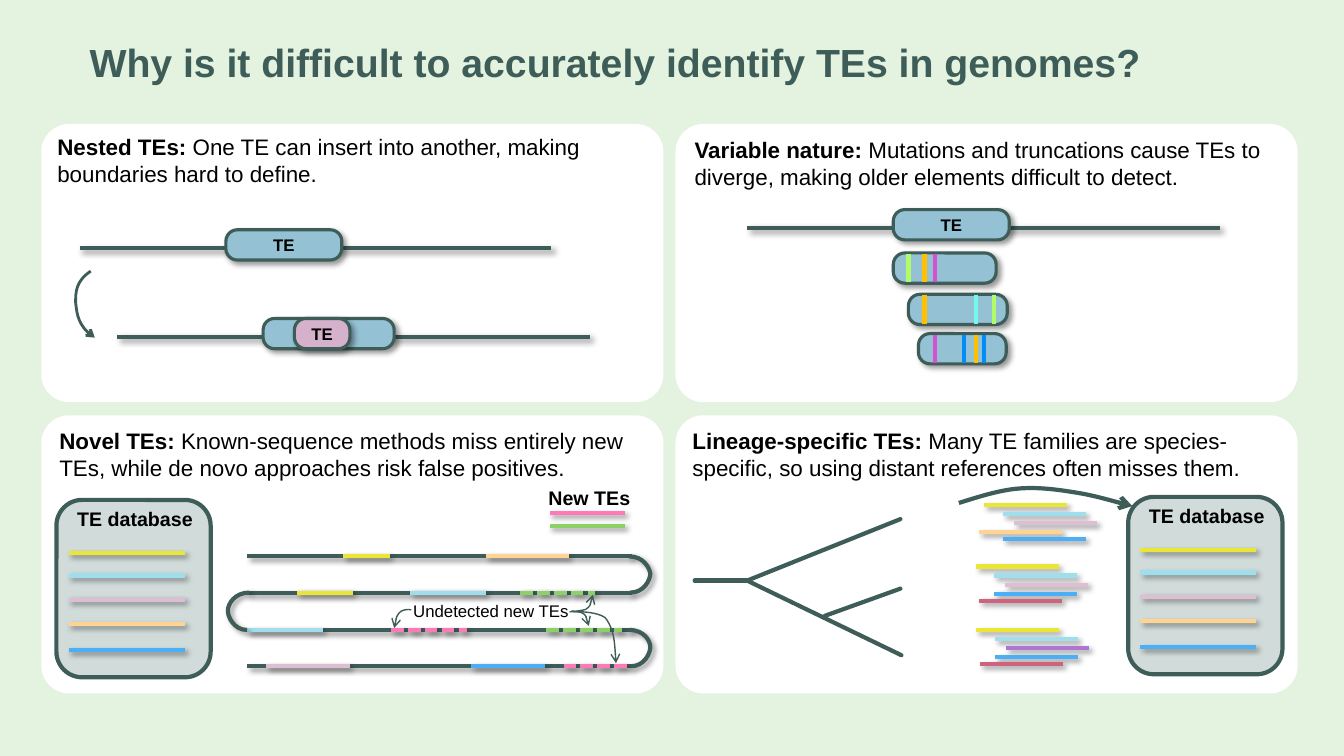
from lxml import etree
from pptx import Presentation
from pptx.dml.color import RGBColor
from pptx.enum.dml import MSO_LINE
from pptx.enum.shapes import MSO_CONNECTOR, MSO_SHAPE
from pptx.enum.text import MSO_ANCHOR, PP_ALIGN
from pptx.oxml.ns import qn
from pptx.util import Inches, Pt

STRAIGHT, ROUND = MSO_CONNECTOR.STRAIGHT, MSO_SHAPE.ROUNDED_RECTANGLE
LEFT, CENTER, MIDDLE, TOP = PP_ALIGN.LEFT, PP_ALIGN.CENTER, MSO_ANCHOR.MIDDLE, MSO_ANCHOR.TOP
DASHED = MSO_LINE.SQUARE_DOT
C = {"bg": "E4F2E0", "dark": "3E5D58", "white": "FFFFFF", "black": "000000",
     "te": "94C1D4", "insert": "D6B1CC", "db": "D1DBD9", "amber": "FFC000",
     "magenta": "D650D2", "lime": "B2FB69", "aqua": "75F9EC", "azure": "008DF6",
     "yellow": "E9E634", "cyan": "9FDFED", "mauve": "DDBED3", "peach": "FFD392",
     "blue": "4BAFF6", "pink": "FF78B8", "green": "8CD167", "red": "CD637C",
     "purple": "AC76D2"}
C = {name: RGBColor.from_string(value) for name, value in C.items()}

prs = Presentation()
prs.slide_width, prs.slide_height = Inches(13.33), Inches(7.5)
U = prs.slide_width // 1333
s = prs.slides.add_slide(prs.slide_layouts[6])
s.background.fill.solid()
s.background.fill.fore_color.rgb = C["bg"]


def style(sp, color, width, shadow=False, dash=None, arrow=False, cap="flat"):
    sp.line.color.rgb = C[color]
    sp.line.width = Pt(width)
    if dash:
        sp.line.dash_style = dash
    ln = sp._element.spPr.find(qn("a:ln"))
    ln.set("cap", cap)
    if arrow:
        etree.SubElement(ln, qn("a:tailEnd"), type="arrow")
    effects = etree.SubElement(sp._element.spPr, qn("a:effectLst"))
    if shadow:
        outer = etree.SubElement(effects, qn("a:outerShdw"), blurRad="50800",
                                 dist="38100", dir="2700000", algn="tl", rotWithShape="0")
        black = etree.SubElement(outer, qn("a:srgbClr"), val="000000")
        etree.SubElement(black, qn("a:alpha"), val="40000")


def write(sp, size, runs, align=LEFT, anchor=TOP, color="black"):
    tf = sp.text_frame
    tf.word_wrap = True
    tf.vertical_anchor = anchor
    p = tf.paragraphs[0]
    p.alignment = align
    for text, bold in runs:
        r = p.add_run()
        r.text = text
        for key, value in {"name": "Arial", "size": Pt(size), "bold": bold}.items():
            setattr(r.font, key, value)
        r.font.color.rgb = C[color]


sp = s.shapes.add_textbox(79 * U, 0, 1131 * U, 123 * U)
write(sp, 28, [("Why is it difficult to accurately identify TEs in genomes?", True)],
      anchor=MIDDLE, color="dark")

for i in range(4):
    row, col = divmod(i, 2)
    sp = s.shapes.add_shape(ROUND, (41 + 629 * col) * U, (123 + 289 * row) * U, 617 * U, 276 * U)
    sp.adjustments[0] = 0.1
    sp.fill.solid()
    sp.fill.fore_color.rgb = C["white"]
    sp.line.fill.background()
    sp.shadow.inherit = False

headings = [
    (47, 127, 642, "Nested TEs:", " One TE can insert into another, making boundaries hard to define."),
    (679, 130, 642, "Variable nature:",
     " Mutations and truncations cause TEs to diverge, making older elements difficult to detect."),
    (49, 419, 598, "Novel TEs:",
     " Known-sequence methods miss entirely new TEs, while de novo approaches risk false positives."),
    (677, 419, 607, "Lineage-specific TEs:",
     " Many TE families are species-specific, so using distant references often misses them."),
]
for x, y, w, term, detail in headings:
    sp = s.shapes.add_textbox(x * U, y * U, w * U, 64 * U)
    write(sp, 16, [(term, True), (detail, False)])

genome_rows = [552, 588, 625, 661]
strands = [(79, 246, 468), (116, 334, 469), (741, 226, 469)]
strands += [(245, y, 382) for y in genome_rows]
for x, y, w in strands:
    sp = s.shapes.add_connector(STRAIGHT, x * U, y * U, (x + w) * U, y * U)
    style(sp, "dark", 3, shadow=True)

lines = []
elements = [
    (224, 228, 115, "te", "TE", []),
    (261, 316, 130, "te", "TE", []),
    (292, 316, 55, "insert", "TE", []),
    (886, 208, 115, "te", "TE", []),
    (886, 251, 102, "te", "", [(901, "lime"), (917, "amber"), (927, "magenta")]),
    (901, 292, 98, "te", "", [(917, "amber"), (968, "aqua"), (986, "lime")]),
    (911, 331, 87, "te", "", [(927, "magenta"), (956, "azure"), (968, "amber"), (976, "azure")]),
]
for x, y, w, fill, label, mutations in elements:
    sp = s.shapes.add_shape(ROUND, x * U, y * U, w * U, 30 * U)
    sp.adjustments[0] = 0.38
    sp.fill.solid()
    sp.fill.fore_color.rgb = C[fill]
    style(sp, "dark", 2.25, shadow=True)
    if label:
        for side in ("left", "top", "right", "bottom"):
            setattr(sp.text_frame, f"margin_{side}", 0)
        write(sp, 12, [(label, True)], CENTER, MIDDLE)
    lines += [(mx, y + 1, mx, y + 29, color, {}) for mx, color in mutations]

SHADOW = {"shadow": True}
labels = [(504, 477, 161, 14, "New TEs", True), (361, 591, 252, 12, "Undetected new TEs", False)]
families = [(53, "yellow"), (75, "cyan"), (99, "mauve"), (123, "peach"), (149, "blue")]
for x, y in [(56, 496), (1119, 493)]:
    sp = s.shapes.add_shape(ROUND, x * U, y * U, 153 * U, 176 * U)
    sp.fill.solid()
    sp.fill.fore_color.rgb = C["db"]
    style(sp, "dark", 3)
    labels.append((x - 14, y + 2, 184, 14, "TE database", True))
    lines += [(x + 12, y + dy, x + 127, y + dy, color, SHADOW) for dy, color in families]

NEW = {"shadow": True, "dash": DASHED}
fragments = [
    (0, 340, 387, "yellow", SHADOW), (0, 482, 564, "peach", SHADOW),
    (1, 295, 350, "yellow", SHADOW), (1, 407, 482, "cyan", SHADOW), (1, 516, 590, "green", NEW),
    (2, 245, 320, "cyan", SHADOW), (2, 388, 463, "pink", NEW), (2, 542, 617, "green", NEW),
    (3, 264, 347, "mauve", SHADOW), (3, 467, 541, "blue", SHADOW), (3, 559, 622, "pink", NEW),
]
lines += [(x1, genome_rows[row], x2, genome_rows[row], color, look)
          for row, x1, x2, color, look in fragments]
lines += [(545, y, 620, y, color, SHADOW) for y, color in [(509, "pink"), (522, "green")]]

branches = [(689, 576, 741, 576), (741, 576, 893, 515), (741, 576, 894, 650), (818, 611, 893, 584)]
lines += [(*branch, "dark", {"cap": "rnd"}) for branch in branches]

clades = [
    (976, 501, [(0, "yellow"), (19, "cyan"), (30, "mauve"), (-5, "peach"), (19, "blue")]),
    (968, 562, [(0, "yellow"), (18, "cyan"), (29, "mauve"), (18, "blue"), (3, "red")]),
    (968, 625, [(0, "yellow"), (19, "cyan"), (30, "purple"), (19, "blue"), (4, "red")]),
]
for x, y, members in clades:
    for (dx, color), dy in zip(members, [0, 9, 18, 27, 34]):
        lines.append((x + dx, y + dy, x + dx + 82, y + dy, color, SHADOW))

for x1, y1, x2, y2, color, look in lines:
    sp = s.shapes.add_connector(STRAIGHT, x1 * U, y1 * U, x2 * U, y2 * U)
    style(sp, color, 3, **look)

ARROW = {"arrow": True}
curves = [
    ([(90, 269), (75, 279), (75, 290), (75, 300), (76, 307), (76, 324), (94, 335)], 2, ARROW),
    ([(624, 552), (638, 552), (644, 563), (645, 569), (645, 575), (639, 588), (625, 588)], 3, SHADOW),
    ([(624, 625), (639, 625), (645, 636), (645, 642), (645, 648), (639, 661), (626, 661)], 3, SHADOW),
    ([(247, 588), (233, 588), (226, 599), (226, 606), (226, 612), (232, 625), (245, 625)], 3, SHADOW),
    ([(569, 607), (576, 605), (581, 606), (583, 603), (586, 600), (587, 595), (588, 590)], 1, ARROW),
    ([(567, 606), (572, 607), (577, 607), (579, 609), (582, 612), (583, 616), (584, 621)], 1, ARROW),
    ([(408, 605), (405, 604), (398, 605), (396, 608), (393, 612), (392, 617), (391, 623)], 1, ARROW),
    ([(565, 607), (576, 606), (599, 608), (602, 615), (609, 626), (610, 641), (611, 658)], 1, ARROW),
    ([(951, 499), (970, 493), (989, 487), (1007, 485), (1026, 483), (1044, 485), (1063, 488),
      (1083, 491), (1103, 497), (1123, 502)], 3, ARROW),
]
for points, width, look in curves:
    x, y = points[0]
    builder = s.shapes.build_freeform(x, y, scale=U)
    builder.add_line_segments(points[1:], close=False)
    sp = builder.convert_to_shape()
    segments = list(sp._element.iter(qn("a:lnTo")))
    for i in range(0, len(segments), 3):
        bezier = etree.SubElement(segments[i].getparent(), qn("a:cubicBezTo"))
        for segment in segments[i:i + 3]:
            bezier.append(segment[0])
            segment.getparent().remove(segment)
    sp.fill.background()
    style(sp, "dark", width, **look)

for x, y, w, size, text, bold in labels:
    sp = s.shapes.add_textbox(x * U, y * U, w * U, (34 if bold else 30) * U)
    write(sp, size, [(text, bold)], CENTER)

prs.save("out.pptx")
